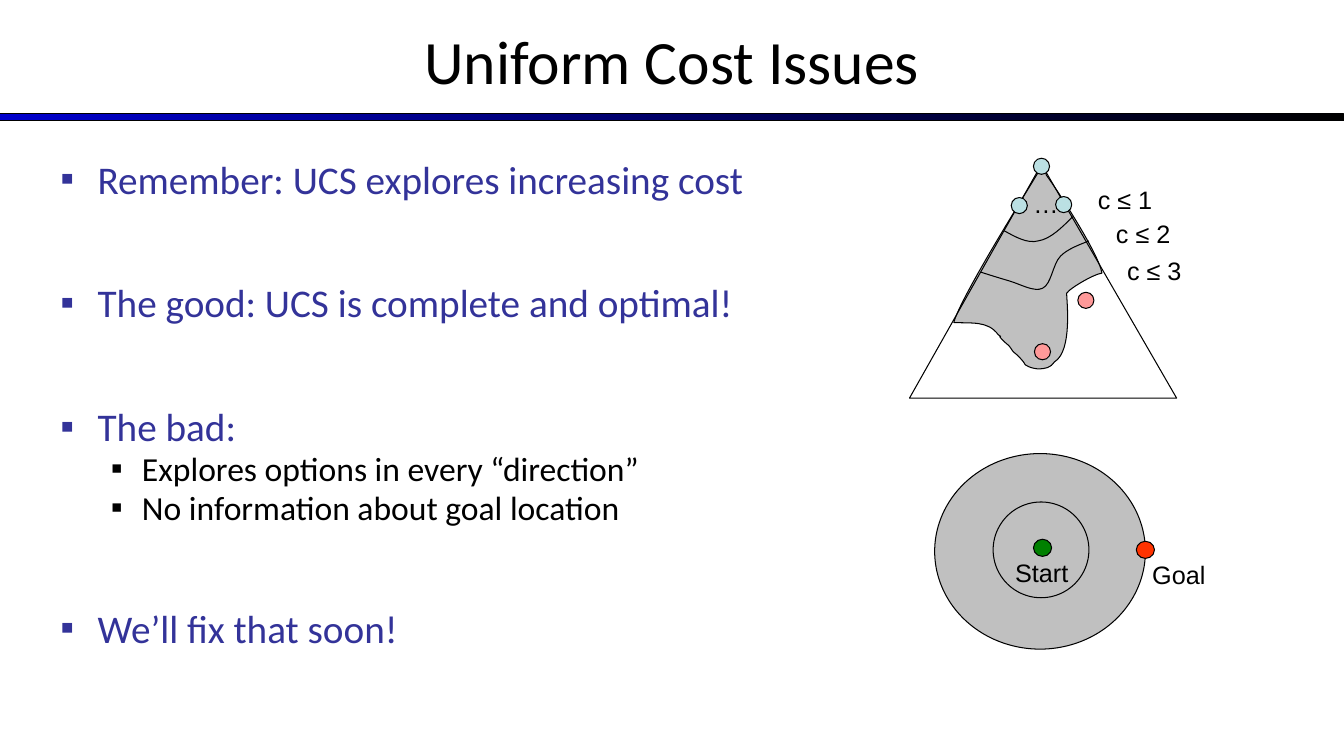
from pptx import Presentation
from pptx.dml.color import RGBColor
from pptx.enum import shapes, text
from pptx.oxml import ns
from pptx.util import Inches, Pt
from lxml import etree

BLACK = RGBColor(0x00, 0x00, 0x00)
BLUE = RGBColor(0x00, 0x00, 0xCC)
INDIGO = RGBColor(0x33, 0x33, 0x99)
GRAY = RGBColor(0xC0, 0xC0, 0xC0)
PALE_BLUE = RGBColor(0xBB, 0xE0, 0xE3)
PINK = RGBColor(0xFF, 0x99, 0x99)
GREEN = RGBColor(0x00, 0x80, 0x00)
RED = RGBColor(0xFF, 0x33, 0x00)
OVAL = shapes.MSO_SHAPE.OVAL
RECTANGLE = shapes.MSO_SHAPE.RECTANGLE


def write(p, words, size=18, font="Arial", color=BLACK):
    r = p.add_run()
    r.text = words
    r.font.size = Pt(size)
    r.font.name = font
    r.font.color.rgb = color


def add_bullet(p, color, left, hanging):
    pPr = p._p.get_or_add_pPr()
    pPr.set("marL", str(Inches(left)))
    pPr.set("indent", str(-Inches(hanging)))
    clr = etree.SubElement(pPr, ns.qn("a:buClr"))
    etree.SubElement(clr, ns.qn("a:srgbClr"), val=str(color))
    etree.SubElement(pPr, ns.qn("a:buFont"), typeface="Arial")
    etree.SubElement(pPr, ns.qn("a:buChar"), char="▪")


def bend(sp):
    """Turn every three straight segments into one cubic curve."""
    segments = list(sp._element.iter(ns.qn("a:lnTo")))
    for i in range(0, len(segments), 3):
        curve = etree.Element(ns.qn("a:cubicBezTo"))
        segments[i].addprevious(curve)
        for segment in segments[i:i + 3]:
            curve.append(segment[0])
            segment.getparent().remove(segment)


class Slide:
    def __init__(self, prs):
        self.s = prs.slides.add_slide(prs.slide_layouts[5])
        self.line_width = Pt(0.75)

    def style(self, sp, fill=None):
        sp.shadow.inherit = False
        sp.line.color.rgb = BLACK
        sp.line.width = self.line_width
        if fill is None:
            sp.fill.background()
        else:
            sp.fill.solid()
            sp.fill.fore_color.rgb = fill
        return sp

    def shape(self, kind, x, y, w, h, fill=None):
        box = map(Inches, (x, y, w, h))
        return self.style(self.s.shapes.add_shape(kind, *box), fill)

    def outline(self, points, fill=None, close=False):
        pts = [(Inches(x), Inches(y)) for x, y in points]
        builder = self.s.shapes.build_freeform(*pts[0])
        builder.add_line_segments(pts[1:], close=close)
        return self.style(builder.convert_to_shape(), fill)

    def curve(self, points, fill=None, close=False):
        bend(self.outline(points, fill, close))

    def title(self, words):
        sp = self.s.shapes.title
        sp.left, sp.top, sp.width, sp.height = map(Inches, (0, -0.03, 13.33, 1.25))
        tf = sp.text_frame
        tf.vertical_anchor = text.MSO_ANCHOR.MIDDLE
        tf.paragraphs[0].alignment = text.PP_ALIGN.CENTER
        write(tf.paragraphs[0], words, size=44, font="Calibri")

    def text_box(self, x, y, w, h):
        tf = self.s.shapes.add_textbox(*map(Inches, (x, y, w, h))).text_frame
        tf.word_wrap = True
        return tf

    def label(self, words, x, y, w):
        write(self.text_box(x, y, w, 0.4).paragraphs[0], words)

    def bullets(self, items, x, y, w, h):
        tf = self.text_box(x, y, w, h)
        for i, (level, words) in enumerate(items):
            p = tf.add_paragraph() if i else tf.paragraphs[0]
            p.level = level
            p.line_spacing = 0.8
            if level:
                size, color, gap, indent = 24, BLACK, 4.8, (0.81, 0.31)
            else:
                size, color, gap, indent = 28, INDIGO, 61.4, (0.37, 0.37)
            p.space_before = Pt(gap if i else 0)
            add_bullet(p, color, *indent)
            write(p, words, size=size, font="Calibri", color=color)


def main():
    prs = Presentation()
    prs.slide_width, prs.slide_height = Inches(13.33), Inches(7.5)
    slide = Slide(prs)

    # Title and gradient rule
    rule = slide.shape(RECTANGLE, 0, 1.13, 13.33, 0.07)
    rule.fill.gradient()
    rule.fill.gradient_angle = 0
    for stop, color in zip(rule.fill.gradient_stops, (BLUE, BLACK)):
        stop.color.rgb = color
    slide.title("Uniform Cost Issues")

    # Points
    slide.shape(OVAL, 9.27, 4.5, 2.09, 1.94, GRAY)
    slide.bullets([
        (0, "Remember: UCS explores increasing cost"),
        (0, "The good: UCS is complete and optimal!"),
        (0, "The bad:"),
        (1, "Explores options in every “direction”"),
        (1, "No information about goal location"),
        (0, "We’ll fix that soon!"),
    ], 0.5, 1.58, 7.08, 4.95)

    # Start and goal inside the cost circles
    for words, dot_x, dot_y, x, y, color in (
            ("Start", 10.25, 5.35, 9.97, 5.48, GREEN),
            ("Goal", 11.27, 5.37, 11.33, 5.5, RED)):
        slide.shape(OVAL, dot_x, dot_y, 0.18, 0.17, color)
        slide.label(words, x, y, 1)
    slide.shape(OVAL, 9.85, 4.98, 0.95, 0.95)

    # Search tree: explored region and outline
    slide.curve([
        (10.38, 1.74),
        (10.49, 1.89), (10.9, 2.52), (10.93, 2.71),
        (10.85, 2.72), (10.61, 2.86), (10.58, 2.91),
        (10.58, 2.98), (10.64, 3.48), (10.46, 3.59),
        (10.42, 3.65), (10.37, 3.66), (10.29, 3.66),
        (10.23, 3.65), (10.22, 3.65), (10.17, 3.62),
        (10.15, 3.58), (10.09, 3.52), (10.05, 3.49),
        (10, 3.42), (10.03, 3.45), (9.96, 3.39),
        (9.86, 3.29), (9.97, 3.37), (9.9, 3.32),
        (9.8, 3.18), (9.63, 3.21), (9.46, 3.2),
        (9.53, 2.95), (10.13, 1.99), (10.28, 1.74),
        (10.43, 1.5), (10.36, 1.74), (10.38, 1.74),
    ], GRAY, close=True)
    slide.outline([(9.02, 3.95), (11.67, 3.95), (10.33, 1.63)], close=True)

    # Tree nodes
    slide.label("…", 10.15, 1.82, 0.25)
    for x, y, color in ((10.03, 1.96, PALE_BLUE), (10.47, 1.95, PALE_BLUE),
                        (10.69, 2.9, PINK), (10.26, 3.41, PINK),
                        (10.25, 1.57, PALE_BLUE)):
        slide.shape(OVAL, x, y, 0.16, 0.16, color)

    # Cost contours and their labels
    slide.curve([
        (10.8, 2.39),
        (10.7, 2.43), (10.59, 2.47), (10.52, 2.54),
        (10.44, 2.62), (10.43, 2.82), (10.34, 2.86),
        (10.26, 2.9), (10.12, 2.82), (10.02, 2.79),
        (9.92, 2.76), (9.82, 2.73), (9.73, 2.7),
    ])
    slide.curve([
        (10.64, 2.15),
        (10.53, 2.26), (10.42, 2.37), (10.3, 2.39),
        (10.19, 2.42), (10.07, 2.35), (9.96, 2.29),
    ])
    for words, x, y in (("c ≤ 3", 11.08, 2.48), ("c ≤ 2", 10.97, 2.12),
                        ("c ≤ 1", 10.79, 1.78)):
        slide.label(words, x, y, 0.75)

    prs.save("out.pptx")


if __name__ == "__main__":
    main()
